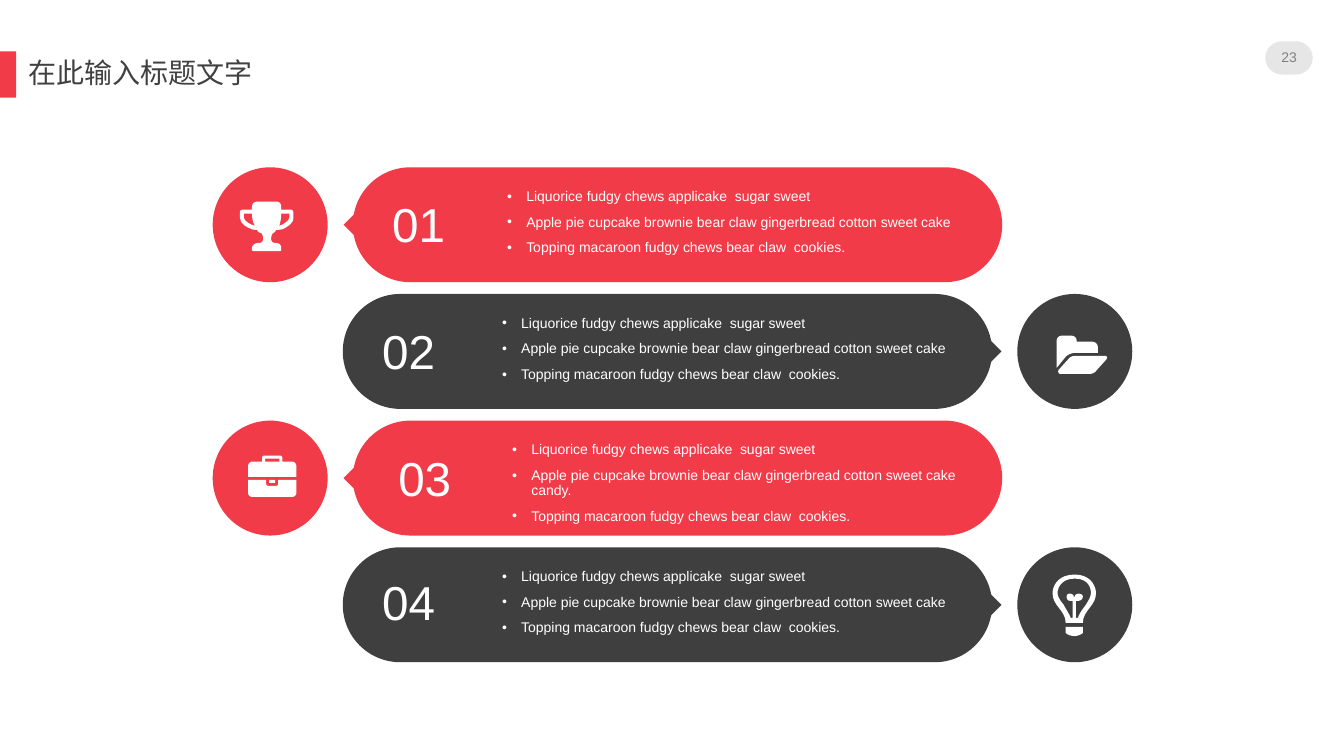
from lxml import etree
from pptx import Presentation
from pptx.dml.color import RGBColor
from pptx.enum.shapes import MSO_SHAPE
from pptx.enum.text import MSO_ANCHOR, PP_ALIGN
from pptx.oxml.ns import qn
from pptx.util import Inches, Pt

RECT, PILL, OVAL = MSO_SHAPE.RECTANGLE, MSO_SHAPE.ROUNDED_RECTANGLE, MSO_SHAPE.OVAL
TOP, MIDDLE = MSO_ANCHOR.TOP, MSO_ANCHOR.MIDDLE
LEFT, CENTER = PP_ALIGN.LEFT, PP_ALIGN.CENTER
RED, DARK, WHITE = "F23B48", "3F3F3F", "FFFFFF"

prs = Presentation()
prs.slide_width, prs.slide_height = Inches(13.33), Inches(7.5)
s = prs.slides.add_slide(prs.slide_layouts[6])


def paint(sp, color):
    sp.shadow.inherit = False
    sp.fill.solid()
    sp.fill.fore_color.rgb = RGBColor.from_string(color)
    sp.line.fill.background()
    return sp


def add_text(lines, x, y, w, h, size, color, font="Arial", anchor=TOP, align=LEFT, bullet=False):
    tf = s.shapes.add_textbox(Inches(x), Inches(y), Inches(w), Inches(h)).text_frame
    tf.word_wrap = True
    tf.vertical_anchor = anchor
    tf.margin_left = tf.margin_top = tf.margin_right = tf.margin_bottom = 0
    tf.text = "\n".join(lines)
    for i, p in enumerate(tf.paragraphs):
        p.alignment = align
        p.line_spacing = 0.9
        if i:
            p.space_before = Pt(7.5)
        if bullet:
            pPr = p._p.get_or_add_pPr()
            pPr.set("marL", str(Inches(0.19)))
            pPr.set("indent", str(-Inches(0.19)))
            etree.SubElement(pPr, qn("a:buFont")).set("typeface", "Arial")
            etree.SubElement(pPr, qn("a:buChar")).set("char", "•")
        r = p.runs[0]
        r.font.size = Pt(size)
        r.font.name = font
        r.font.color.rgb = RGBColor.from_string(color)
        etree.SubElement(r._r.get_or_add_rPr(), qn("a:ea")).set("typeface", font)


first_top, last_top, height, bar_width, tip = 1.66, 5.43, 1.14, 6.44, 0.21
rows = [
    ("01", 3.89, 0.34, 5.03, ""),
    ("02", 3.79, 0.34, 4.98, ""),
    ("03", 3.95, 0.34, 5.08, " candy."),
    ("04", 3.79, 0.32, 4.98, ""),
]
shapes = [
    (RECT, 0, 0.51, 0.16, 0.46, RED, 0),
    (PILL, 12.55, 0.41, 0.47, 0.33, "E7E6E6", 0),
]
tops = [first_top + i * (last_top - first_top) / (len(rows) - 1) for i in range(len(rows))]
for i, y in enumerate(tops):
    if i % 2:
        color, circle_x, bar_x, tip_x = DARK, 10.09, 3.4, 9.68
    else:
        color, circle_x, bar_x, tip_x = RED, 2.11, 3.5, 3.45
    shapes += [
        (OVAL, circle_x, y, height, height, color, 0),
        (PILL, bar_x, y, bar_width, height, color, 0),
        (RECT, tip_x, y + (height - tip) / 2, tip, tip, color, 45),
    ]
for kind, x, y, w, h, color, angle in shapes:
    sp = paint(s.shapes.add_shape(kind, Inches(x), Inches(y), Inches(w), Inches(h)), color)
    sp.rotation = angle
    if kind == PILL:
        sp.adjustments[0] = 0.5

add_text(["在此输入标题文字"], 0.28, 0.51, 4.17, 0.46, 20, "404040", "Noto Sans CJK SC", MIDDLE)
add_text(["23"], 12.55, 0.41, 0.47, 0.33, 10, "808080", anchor=MIDDLE, align=CENTER)
for y, (number, number_x, number_dy, bullets_x, ending) in zip(tops, rows):
    add_text([number], number_x, y + number_dy, 0.82, 0.43, 34, WHITE)
    add_text([
        "Liquorice fudgy chews applicake  sugar sweet",
        "Apple pie cupcake brownie bear claw gingerbread cotton sweet cake" + ending,
        "Topping macaroon fudgy chews bear claw  cookies.",
    ], bullets_x, y + 0.22, 4.7, 0.9, 10, WHITE, bullet=True)

trophy = [
    "279,212 279,217,278,221,277,224 280,223,282,222,284,220 286,219,287,217,287,215 287,212",
    "242,212 242,215 242,217,243,219,245,220 247,222,250,223,253,224 251,221,250,217,250,212",
    "256,200 274,200 277,200,279,202,279,205 279,208 288,208 290,208,291,209,291,211 291,215 "
    "291,217,291,218,290,220 289,221,288,223,286,224 285,225,283,226,281,227 "
    "279,228,276,228,274,228 273,230,272,231,271,231 270,232,269,234,269,237 "
    "269,239,270,241,273,241 277,241,279,243,279,246 279,248 279,249,279,249,278,249 "
    "251,249 251,249,250,249,250,248 250,246 250,243,253,241,257,241 260,241,261,239,261,237 "
    "261,234,260,232,259,231 257,231,256,230,255,228 253,228,251,228,249,227 "
    "246,226,245,225,243,224 242,223,240,221,239,220 239,218,238,217,238,215 238,211 "
    "238,209,239,208,241,208 250,208 250,205 250,202,252,200,256,200",
]
folder = [
    "1067,353 1096,353 1098,353,1099,355,1097,357 1088,367 1086,370,1083,371,1081,371 "
    "1052,371 1050,371,1049,369,1050,367 1059,357 1061,354,1064,353,1067,353",
    "1054,333 1062,333 1066,333,1068,335,1068,339 1083,339 1087,339,1089,342,1089,345 "
    "1089,350 1067,350 1063,350,1059,352,1057,354 1048,365 1048,339 1048,335,1050,333,1054,333",
]
briefcase = [
    "267,476 273,476 273,479 267,479",
    "246,476 264,476 264,480 264,481,265,482,266,482 274,482 275,482,276,481,276,480 "
    "276,476 294,476 294,489 294,491,292,493,290,493 250,493 248,493,246,491,246,489",
    "263,455 263,458 277,458 277,455",
    "262,452 278,452 279,452,280,453,280,454 280,458 290,458 292,458,294,460,294,463 "
    "294,473 246,473 246,463 246,460,248,458,250,458 260,458 260,454 260,453,261,452,262,452",
]
bulb = [
    "1074,618 1074,605,1088,601,1087,587 1086,579,1080,570,1066,570 "
    "1051,570,1045,579,1044,587 1043,601,1057,605,1057,618",
    "1049,588 1049,584,1052,574,1066,574 1080,574,1082,584,1082,588 "
    "1082,592,1080,595,1077,600 1074,604,1071,608,1069,613 1067,613 1067,596 1070,596 "
    "1072,596,1074,594,1074,592 1074,590,1072,589,1070,589 1068,589,1066,590,1066,592 "
    "1065,592 1065,590,1063,589,1061,589 1059,589,1058,590,1058,592 "
    "1058,594,1059,596,1061,596 1064,596 1064,613 1062,613 "
    "1060,608,1057,604,1055,600 1051,595,1049,592,1049,588",
]
bulb_base = ["1057,628 1062,632,1069,632,1074,628 1074,622 1057,622"]

for icon in (trophy, folder, briefcase, bulb, bulb_base):
    builder = None
    for outline in icon:
        points = []
        for step in outline.split():
            v = [Inches(float(n) / 100) for n in step.split(",")]
            if len(v) == 2:
                points.append(tuple(v))
                continue
            curve = list(zip([points[-1][0]] + v[::2], [points[-1][1]] + v[1::2]))
            for k in range(1, 9):
                t = k / 8
                weights = ((1 - t) ** 3, 3 * t * (1 - t) ** 2, 3 * t * t * (1 - t), t ** 3)
                points.append(tuple(sum(w * c[axis] for w, c in zip(weights, curve)) for axis in (0, 1)))
        if builder is None:
            builder = s.shapes.build_freeform(*points[0])
        else:
            builder.move_to(*points[0])
        builder.add_line_segments(points[1:], close=True)
    paint(builder.convert_to_shape(), WHITE)

prs.save("out.pptx")
